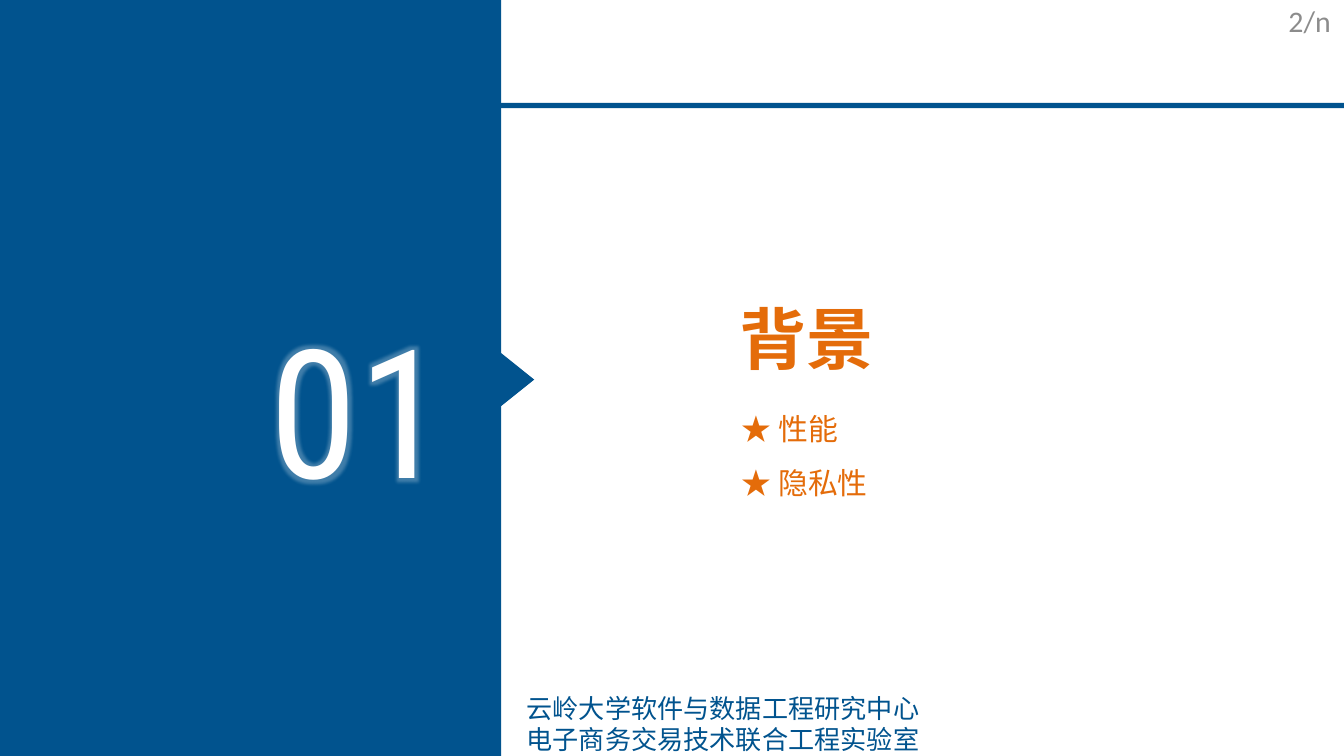
from dataclasses import dataclass

from lxml.etree import SubElement
from pptx import Presentation
from pptx.dml.color import RGBColor
from pptx.enum.shapes import MSO_SHAPE
from pptx.enum.text import MSO_ANCHOR, MSO_AUTO_SIZE, PP_ALIGN
from pptx.oxml.ns import qn
from pptx.util import Inches, Pt

COLORS = {
    "blue": "01538E",
    "orange": "E46C0A",
    "white": "FFFFFF",
    "gray": "8C8C8C",
}
CHINESE_FONT = "Noto Sans CJK SC"


@dataclass(frozen=True)
class Frame:
    """Position and size in percent of the slide's width and height."""
    left: float
    top: float
    width: float
    height: float


@dataclass(frozen=True)
class Style:
    font: str
    size: int
    color: str
    bold: bool = False
    align: PP_ALIGN = PP_ALIGN.LEFT
    anchor: MSO_ANCHOR = MSO_ANCHOR.TOP
    line_spacing: float = 1.0


# A 16:9 page
deck = Presentation()
deck.slide_width = Inches(10)
deck.slide_height = deck.slide_width * 9 // 16
page = deck.slides.add_slide(deck.slide_layouts[1])


def place(frame: Frame) -> tuple[int, int, int, int]:
    return (
        int(deck.slide_width * frame.left / 100),
        int(deck.slide_height * frame.top / 100),
        int(deck.slide_width * frame.width / 100),
        int(deck.slide_height * frame.height / 100),
    )


def add_block(kind: MSO_SHAPE, frame: Frame, rotation: float = 0) -> None:
    block = page.shapes.add_shape(kind, *place(frame))
    block.rotation = rotation
    block.shadow.inherit = False
    block.fill.solid()
    block.fill.fore_color.rgb = RGBColor.from_string(COLORS["blue"])
    block.line.fill.background()


def write(box, frame: Frame, lines: list[str], style: Style) -> None:
    box.left, box.top, box.width, box.height = place(frame)
    text = box.text_frame
    text.word_wrap = True
    text.auto_size = MSO_AUTO_SIZE.NONE
    text.vertical_anchor = style.anchor
    text.text = "\n".join(lines)
    for para in text.paragraphs:
        para.alignment = style.align
        para.line_spacing = style.line_spacing
        para.space_before = Pt(0)
        para.font.size = Pt(style.size)
        para.font.bold = style.bold
        para.font.color.rgb = RGBColor.from_string(COLORS[style.color])
        for span in para.runs:
            span.font.name = style.font
            east_asian = SubElement(span.font._element, qn("a:ea"))
            east_asian.set("typeface", style.font)


def add_text(frame: Frame, lines: list[str], style: Style):
    box = page.shapes.add_textbox(*place(frame))
    write(box, frame, lines, style)
    return box


def remove_bullets(box) -> None:
    for para in box.text_frame.paragraphs:
        properties = para._p.get_or_add_pPr()
        properties.set("marL", "0")
        properties.set("indent", "0")
        bullet = properties.makeelement(qn("a:buNone"), {})
        properties.find(qn("a:spcBef")).addnext(bullet)


def add_glow(span, color: str, radius: float, opacity: int) -> None:
    properties = span.font._element
    effects = properties.makeelement(qn("a:effectLst"), {})
    glow = SubElement(effects, qn("a:glow"), rad=str(Pt(radius)))
    tint = SubElement(glow, qn("a:srgbClr"), val=COLORS[color])
    SubElement(tint, qn("a:alpha"), val=str(opacity * 1000))
    properties.find(qn("a:latin")).addprevious(effects)


# Header rule, side panel and its pointer
add_block(MSO_SHAPE.RECTANGLE, Frame(0, 13.6, 100, 0.71))
add_block(MSO_SHAPE.RECTANGLE, Frame(0, 0, 37.3, 100))
add_block(MSO_SHAPE.ISOSCELES_TRIANGLE, Frame(36.5, 48, 4, 4.44), rotation=90)

# Section number
number = add_text(Frame(19.1, 38.65, 16.8, 30.58), ["01"],
                  Style("Roboto Condensed", 96, "white"))
add_glow(number.text_frame.paragraphs[0].runs[0], "white", radius=5, opacity=25)

# Section title and topics
title, topics = page.placeholders
write(title, Frame(54, 38.4, 41.1, 12.62), ["背景"],
      Style(CHINESE_FONT, 36, "orange", bold=True))
write(topics, Frame(54.2, 51.05, 26.7, 15.29), ["★ 性能", "★ 隐私性"],
      Style(CHINESE_FONT, 16, "orange", line_spacing=1.5))
remove_bullets(topics)

# Footer and page number
add_text(Frame(34.25, 90.67, 39.1, 10.13),
         ["云岭大学软件与数据工程研究中心", "电子商务交易技术联合工程实验室"],
         Style(CHINESE_FONT, 14, "blue", align=PP_ALIGN.CENTER))
add_text(Frame(77.5, 0, 22.5, 5.33), ["2/n"],
         Style("Calibri", 16, "gray", align=PP_ALIGN.RIGHT, anchor=MSO_ANCHOR.MIDDLE))

deck.save("out.pptx")
